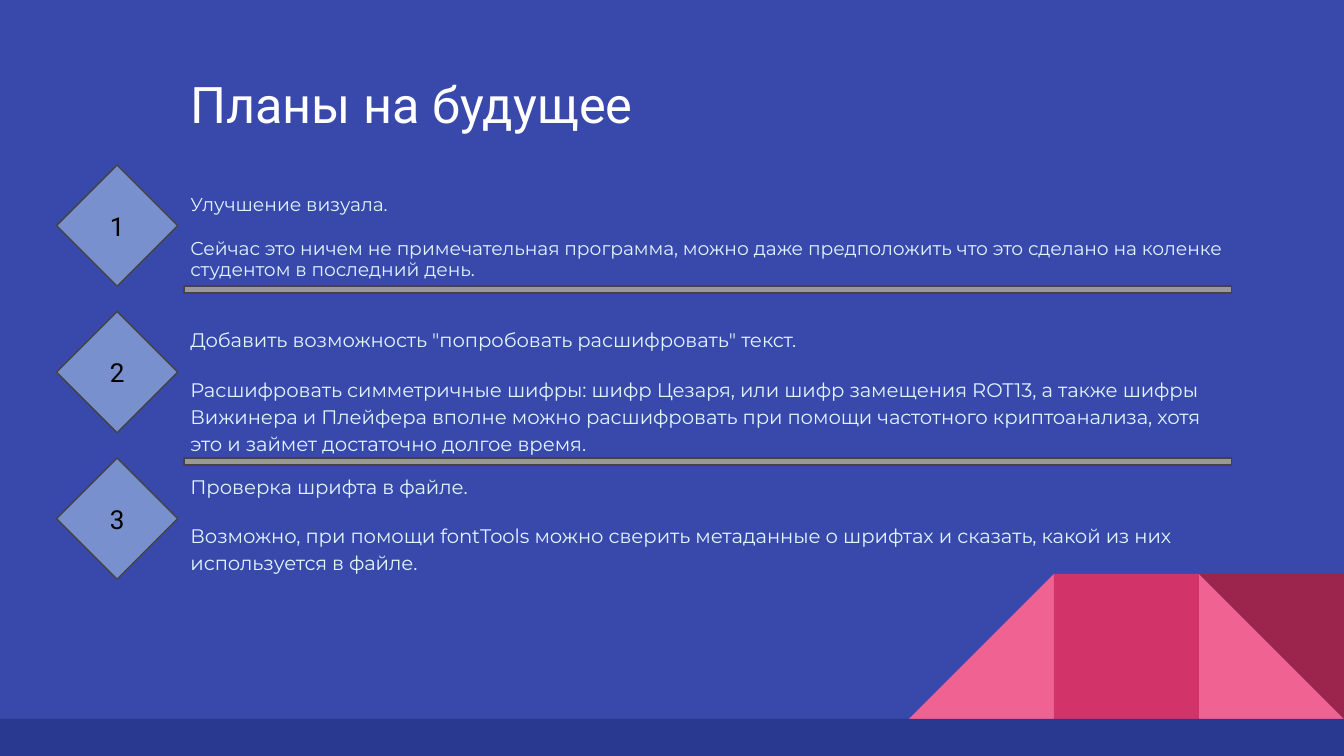
from pptx import Presentation
from pptx import util as u
from pptx.dml import color
from pptx.enum import shapes, text

COLORS = {
    "background": "3949AB", "footer": "2A3990", "pink": "F06292",
    "crimson": "D23369", "maroon": "9C254D", "diamond": "7890CD",
    "bar": "999999", "outline": "434343", "title": "FFFFFF",
    "body": "E1F5FE", "number": "000000",
}
KIND = shapes.MSO_SHAPE
WIDTH, HEIGHT = 25.4, 14.29

deck = Presentation()
deck.slide_width, deck.slide_height = u.Cm(WIDTH), u.Cm(HEIGHT)
page = deck.slides.add_slide(deck.slide_layouts[6])
page.background.fill.solid()
page.background.fill.fore_color.rgb = color.RGBColor.from_string(COLORS["background"])


def add_filled(kind, left, top, width, height, fill, outlined=False):
    """Add a flat preset shape, measured in centimetres."""
    shape = page.shapes.add_shape(kind, u.Cm(left), u.Cm(top), u.Cm(width), u.Cm(height))
    shape.shadow.inherit = False
    shape.fill.solid()
    shape.fill.fore_color.rgb = color.RGBColor.from_string(COLORS[fill])
    if outlined:
        shape.line.color.rgb = color.RGBColor.from_string(COLORS["outline"])
        shape.line.width = u.Pt(0.75)
    else:
        shape.line.fill.background()
    return shape


def write(box, lines, font, size, ink, align=text.PP_ALIGN.LEFT,
          anchor=text.MSO_ANCHOR.TOP, spacing=1.0, before=0):
    """Fill a shape with one paragraph per line."""
    frame = box.text_frame
    frame.word_wrap = True
    frame.vertical_anchor = anchor
    frame.margin_left = frame.margin_right = u.Cm(0.25)
    frame.margin_top = frame.margin_bottom = u.Cm(0.25)
    for index, line in enumerate(lines):
        para = frame.add_paragraph() if index else frame.paragraphs[0]
        para.alignment = align
        para.line_spacing = spacing
        para.space_before = u.Pt(before)
        span = para.add_run()
        span.text = line
        span.font.name = font
        span.font.size = u.Pt(size)
        span.font.color.rgb = color.RGBColor.from_string(COLORS[ink])


# Corner decoration: square tiles counted from the right edge, above the footer
TILE, FOOTER_TOP = 2.74, 13.59
for kind, column, turn, fill in [
    (KIND.RIGHT_TRIANGLE, 1, 0, "pink"),
    (KIND.RIGHT_TRIANGLE, 3, 270, "pink"),
    (KIND.RECTANGLE, 2, 0, "crimson"),
    (KIND.RIGHT_TRIANGLE, 1, 180, "maroon"),
]:
    tile = add_filled(kind, WIDTH - column * TILE, FOOTER_TOP - TILE, TILE, TILE, fill)
    tile.rotation = turn
add_filled(KIND.RECTANGLE, 0, FOOTER_TOP, WIDTH, HEIGHT - FOOTER_TOP, "footer")

TEXT_LEFT = 3.35
title = page.shapes.add_textbox(u.Cm(TEXT_LEFT), u.Cm(1.12), u.Cm(8.9), u.Cm(1.68))
write(title, ["Планы на будущее"], "Roboto", 27, "title", anchor=text.MSO_ANCHOR.MIDDLE)

# Plans: text top, width, height, font size, line spacing, paragraphs
plans = [
    (3.43, 21.18, 2.39, 10, 0.95, [
        "Улучшение визуала.",
        "Сейчас это ничем не примечательная программа, можно даже предположить "
        "что это сделано на коленке студентом в последний день."]),
    (5.89, 20.04, 4.19, 10.5, 1.15, [
        'Добавить возможность "попробовать расшифровать" текст.',
        "Расшифровать симметричные шифры: шифр Цезаря, или шифр замещения ROT13, "
        "а также шифры Вижинера и Плейфера вполне можно расшифровать при помощи "
        "частотного криптоанализа, хотя это и займет достаточно долгое время."]),
    (8.66, 19.33, 3.68, 10.5, 1.15, [
        "Проверка шрифта в файле.",
        "Возможно, при помощи fontTools можно сверить метаданные о шрифтах и "
        "сказать, какой из них используется в файле."]),
]
DIAMOND, FIRST_TOP, PITCH = 2.29, 3.12, 2.77
for index, (top, width, height, size, spacing, lines) in enumerate(plans):
    diamond = add_filled(KIND.DIAMOND, 1.07, FIRST_TOP + index * PITCH,
                         DIAMOND, DIAMOND, "diamond", outlined=True)
    write(diamond, [str(index + 1)], "Roboto", 14, "number",
          align=text.PP_ALIGN.CENTER, anchor=text.MSO_ANCHOR.MIDDLE)
    box = page.shapes.add_textbox(u.Cm(TEXT_LEFT), u.Cm(top), u.Cm(width), u.Cm(height))
    write(box, lines, "Montserrat", size, "body", spacing=spacing, before=12)

for top in (5.41, 8.66):
    add_filled(KIND.RECTANGLE, 3.48, top, 19.79, 0.13, "bar", outlined=True)

deck.save("out.pptx")
